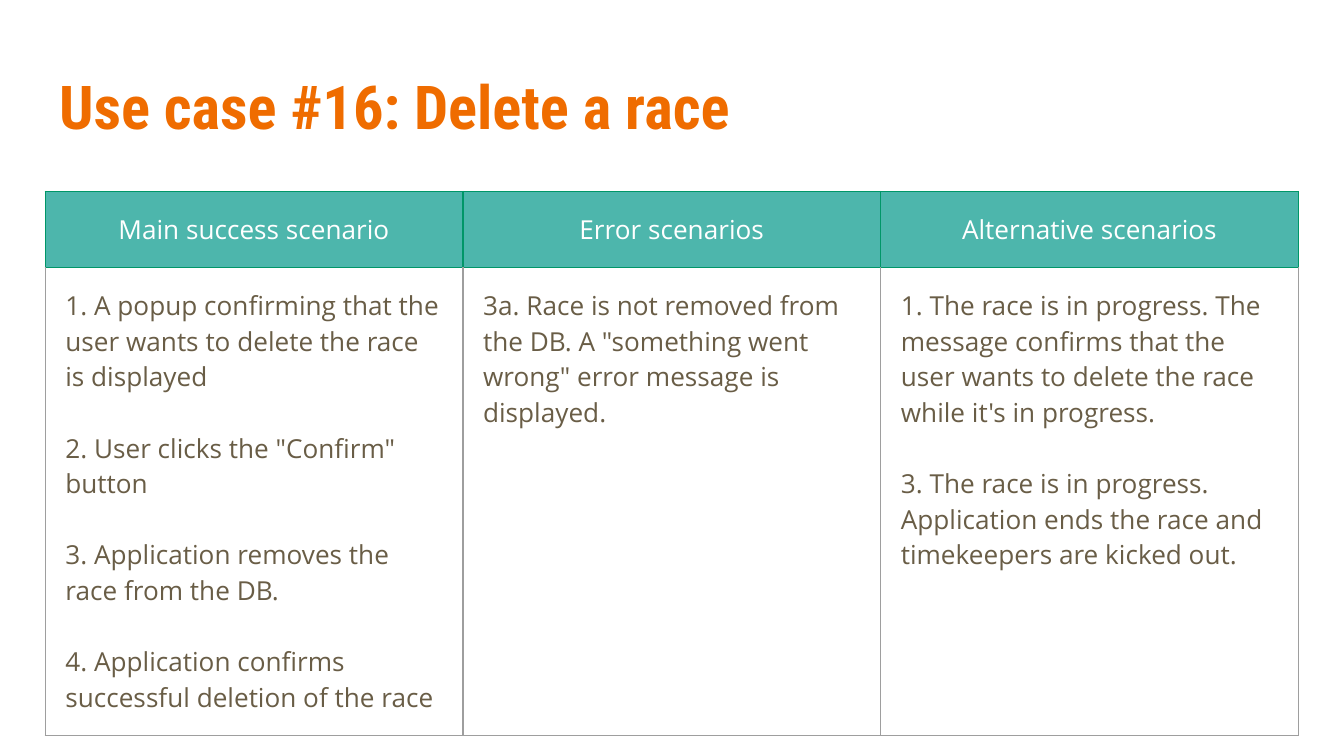
import lxml.etree
import pptx
import pptx.dml.color
import pptx.enum.text
import pptx.oxml.ns
import pptx.util

Pt = pptx.util.Pt
ALIGN = pptx.enum.text.PP_ALIGN
ANCHOR = pptx.enum.text.MSO_ANCHOR

TITLE = "Use case #16: Delete a race"
SCENARIOS = [
    ("Main success scenario", [
        "1. A popup confirming that the user wants to delete the race is displayed",
        '2. User clicks the "Confirm" button',
        "3. Application removes the race from the DB.",
        "4. Application confirms successful deletion of the race",
    ]),
    ("Error scenarios", [
        '3a. Race is not removed from the DB. A "something went wrong" error message is displayed.',
    ]),
    ("Alternative scenarios", [
        "1. The race is in progress. The message confirms that the user wants to delete "
        "the race while it's in progress.",
        "3. The race is in progress. Application ends the race and timekeepers are kicked out.",
    ]),
]

ORANGE, TEAL, GREEN = "EF6C00", "4DB6AC", "009668"
WHITE, BROWN, GRAY = "FFFFFF", "695D46", "9E9E9E"
LEFT, TABLE_TOP = 24.2, 102.6
COLUMN_WIDTH, HEADER_HEIGHT, BODY_HEIGHT = 223.8, 40.7, 250.8
CELL_MARGIN, STEP_GAP = 10.8, 19.07


def color(value):
    return pptx.dml.color.RGBColor.from_string(value)


def format_runs(paragraph, font_name, size, font_color, bold=False):
    for run in paragraph.runs:
        run.font.name = font_name
        run.font.size = Pt(size)
        run.font.bold = bold
        run.font.color.rgb = color(font_color)


def set_margins(target, margin):
    target.margin_left = target.margin_right = Pt(margin)
    target.margin_top = target.margin_bottom = Pt(margin)


def set_borders(cell, top_color, side_color):
    qualified = pptx.oxml.ns.qn
    properties = cell._tc.get_or_add_tcPr()
    for side in "LRTB":
        line = lxml.etree.SubElement(properties, qualified(f"a:ln{side}"), w=str(Pt(0.75)))
        fill = lxml.etree.SubElement(line, qualified("a:solidFill"))
        lxml.etree.SubElement(fill, qualified("a:srgbClr"),
                              val=top_color if side == "T" else side_color)


def fill_cell(cell, lines, font_color, alignment):
    set_margins(cell, CELL_MARGIN)
    cell.vertical_anchor = ANCHOR.TOP
    cell.text_frame.text = "\n".join(lines)
    for index, paragraph in enumerate(cell.text_frame.paragraphs):
        paragraph.alignment = alignment
        paragraph.space_before = Pt(STEP_GAP if index else 0)
        format_runs(paragraph, "Open Sans", 14, font_color)


def add_title(slide):
    title = slide.shapes.title
    title.left, title.top, title.width, title.height = Pt(24.5), Pt(28.8), Pt(671), Pt(55.4)
    text_frame = title.text_frame
    text_frame.text = TITLE
    text_frame.word_wrap = True
    text_frame.auto_size = pptx.enum.text.MSO_AUTO_SIZE.NONE
    text_frame.vertical_anchor = ANCHOR.MIDDLE
    set_margins(text_frame, 7.2)
    paragraph = text_frame.paragraphs[0]
    paragraph.alignment = ALIGN.LEFT
    format_runs(paragraph, "Roboto Condensed", 32.4, ORANGE, bold=True)


def add_scenario_table(slide):
    table = slide.shapes.add_table(
        2, len(SCENARIOS), Pt(LEFT), Pt(TABLE_TOP),
        Pt(COLUMN_WIDTH * len(SCENARIOS)), Pt(HEADER_HEIGHT + BODY_HEIGHT)).table
    table.first_row = table.horz_banding = False
    table.rows[0].height = Pt(HEADER_HEIGHT)
    table.rows[1].height = Pt(BODY_HEIGHT)
    for index, (heading, steps) in enumerate(SCENARIOS):
        table.columns[index].width = Pt(COLUMN_WIDTH)
        header, body = table.cell(0, index), table.cell(1, index)
        fill_cell(header, [heading], WHITE, ALIGN.CENTER)
        set_borders(header, GREEN, GREEN)
        header.fill.solid()
        header.fill.fore_color.rgb = color(TEAL)
        fill_cell(body, steps, BROWN, ALIGN.LEFT)
        set_borders(body, GREEN, GRAY)
        body.fill.background()


def main():
    presentation = pptx.Presentation()
    presentation.slide_width, presentation.slide_height = Pt(720), Pt(405)
    slide = presentation.slides.add_slide(presentation.slide_layouts[5])
    slide.background.fill.solid()
    slide.background.fill.fore_color.rgb = color(WHITE)
    add_title(slide)
    add_scenario_table(slide)
    presentation.save("out.pptx")


if __name__ == "__main__":
    main()
